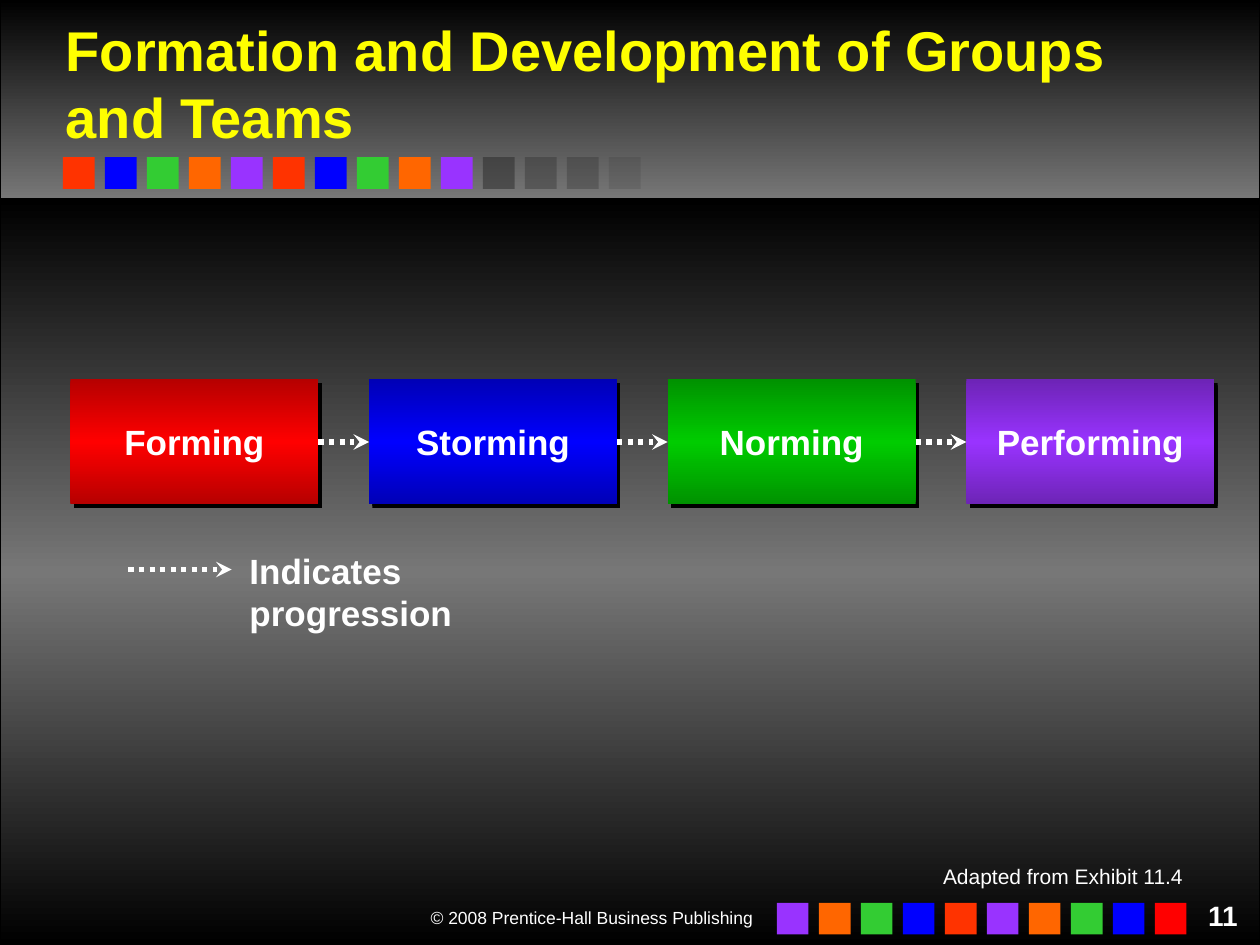
from lxml import etree
from pptx import Presentation, util as u
from pptx.dml.color import RGBColor
from pptx.enum import dml, shapes, text
from pptx.oxml import ns

Cm = u.Cm
WHITE, BLACK, GREY = "FFFFFF", "000000", "777777"
RED, BLUE, GREEN, ORANGE, VIOLET = "FF3300", "0000FF", "33CC33", "FF6600", "9933FF"
PITCH = 2.54 / 3
STAGES = [
    ("Forming", "B60000", "FF0000"),
    ("Storming", "0000B6", "0000FF"),
    ("Norming", "009200", "00CC00"),
    ("Performing", "6D24B6", "9933FF"),
]


def rgb(code):
    return RGBColor.from_string(code)


def sub(node, tag, **attrs):
    return etree.SubElement(node, ns.qn(tag), **attrs)


def cast(effects):
    """Fill an effect list with a hard black shadow to the lower right."""
    shadow = sub(effects, "a:outerShdw", dist=str(u.Pt(2.8)), dir="2700000",
                 algn="ctr", rotWithShape="0")
    sub(shadow, "a:srgbClr", val=BLACK)


def style(frame, words, size, color=WHITE, bold=False, align=None):
    frame.text = words
    frame.word_wrap = True
    para = frame.paragraphs[0]
    para.alignment = align
    font = para.runs[0].font
    font.name, font.size, font.bold = "Arial", u.Pt(size), bold
    font.color.rgb = rgb(color)
    return para


def rect(slide, x, y, w, h):
    box = slide.shapes.add_shape(shapes.MSO_SHAPE.RECTANGLE, Cm(x), Cm(y), Cm(w), Cm(h))
    box.shadow.inherit = False
    box.line.fill.background()
    return box


def blend(box, colors):
    """Fill from top to bottom with evenly spaced colours."""
    box.fill.gradient()
    box.fill.gradient_angle = 270
    stops = box._element.spPr.find(".//" + ns.qn("a:gsLst"))
    for old in list(stops):
        stops.remove(old)
    for i, code in enumerate(colors):
        stop = sub(stops, "a:gs", pos=str(100000 * i // (len(colors) - 1)))
        sub(stop, "a:srgbClr", val=code)


def panel(slide, y, h, colors):
    box = rect(slide, 0, y, 25.4, h)
    blend(box, colors)
    box.line.color.rgb = rgb(BLACK)
    box.line.width = u.Pt(0.75)


def squares(slide, x, y, colors):
    for i, (code, alpha) in enumerate(colors):
        box = rect(slide, x + i * PITCH, y, 0.64, 0.64)
        box.fill.solid()
        box.fill.fore_color.rgb = rgb(code)
        if alpha < 100:
            tint = box._element.spPr.find(".//" + ns.qn("a:srgbClr"))
            sub(tint, "a:alpha", val=str(alpha * 1000))


def stage(slide, x, name, dark, light):
    box = rect(slide, x, 7.65, 5, 2.52)
    blend(box, [dark, light, dark])
    cast(box._element.spPr.find(ns.qn("a:effectLst")))
    style(box.text_frame, name, 20, bold=True, align=text.PP_ALIGN.CENTER)
    box.text_frame.vertical_anchor = text.MSO_ANCHOR.MIDDLE
    return box


def arrow(slide, x1, x2, y):
    link = slide.shapes.add_connector(shapes.MSO_CONNECTOR.STRAIGHT,
                                      Cm(x1), Cm(y), Cm(x2), Cm(y))
    link.line.color.rgb = rgb(WHITE)
    link.line.width = u.Pt(3)
    link.line.dash_style = dml.MSO_LINE.ROUND_DOT
    sub(link.line._get_or_add_ln(), "a:tailEnd", type="stealth")
    sub(link._element.spPr, "a:effectLst")
    return link


def label(slide, x, y, w, h, words, size, **look):
    box = slide.shapes.add_textbox(Cm(x), Cm(y), Cm(w), Cm(h))
    return style(box.text_frame, words, size, **look)


def headline(slide, words):
    title = slide.shapes.title
    title.left, title.top, title.width, title.height = Cm(1.07), Cm(0.15), Cm(23.29), Cm(3.02)
    para = style(title.text_frame, words, 32, "FFFF00", True, text.PP_ALIGN.LEFT)
    title.text_frame.vertical_anchor = text.MSO_ANCHOR.MIDDLE
    effects = etree.Element(ns.qn("a:effectLst"))
    cast(effects)
    para.runs[0]._r.rPr.find(ns.qn("a:solidFill")).addnext(effects)
    slide.shapes._spTree.append(title._element)


def main():
    deck = Presentation()
    deck.slide_width, deck.slide_height = Cm(25.4), Cm(19.05)
    slide = deck.slides.add_slide(deck.slide_layouts[5])
    right = text.PP_ALIGN.RIGHT

    panel(slide, 0, 4.01, [BLACK, GREY])
    panel(slide, 4.01, 15.04, [BLACK, GREY, BLACK])
    row = [(code, 100) for code in [RED, BLUE, GREEN, ORANGE, VIOLET] * 2]
    faded = [("292929", alpha) for alpha in (50, 35, 30, 15)]
    squares(slide, 1.27, 3.17, row + faded)
    squares(slide, 15.66, 18.2, row[::-1][:-1] + [("FF0000", 100)])
    headline(slide, "Formation and Development of Groups and Teams")

    boxes = [stage(slide, 1.42 + i * 6.02, *item) for i, item in enumerate(STAGES)]
    for a, b in zip(boxes, boxes[1:]):
        link = arrow(slide, 0, 1, 8.91)
        link.begin_connect(a, 3)
        link.end_connect(b, 1)

    arrow(slide, 2.59, 4.67, 11.48)
    label(slide, 4.78, 10.95, 7.5, 1.09, "Indicates progression", 20, bold=True)
    note = label(slide, 17.98, 17.35, 6.12, 0.71, "Adapted from Exhibit 11.4", 12, align=right)
    note.line_spacing = 0.9
    label(slide, 7.42, 18.16, 8, 0.69, "© 2008 Prentice-Hall Business Publishing", 10, align=right)
    label(slide, 23.93, 17.98, 1.27, 0.43, "11", 16, bold=True, align=right)
    deck.save("out.pptx")


if __name__ == "__main__":
    main()
